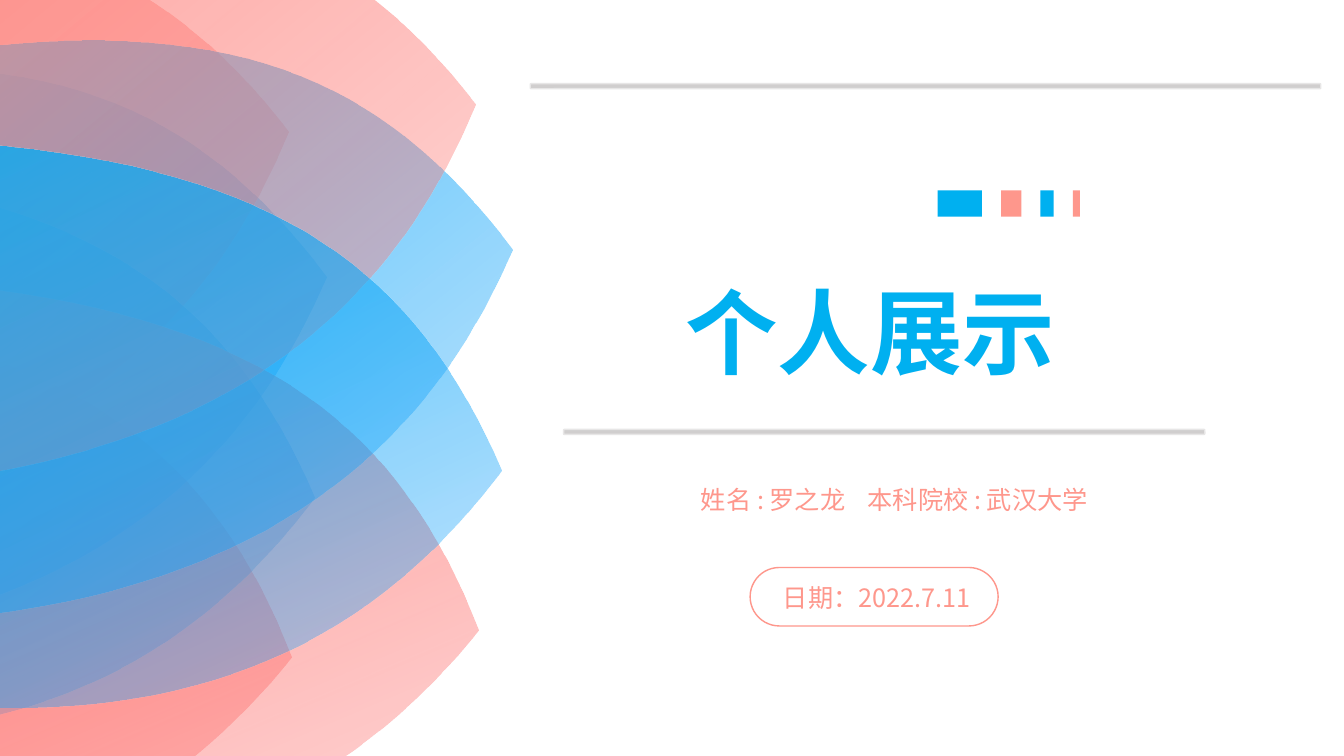
from lxml.etree import Element, SubElement
from pptx import Presentation
from pptx.dml.color import RGBColor
from pptx.enum.shapes import MSO_SHAPE as Shape
from pptx.enum.text import MSO_ANCHOR as Anchor, PP_ALIGN as Align
from pptx.oxml.ns import qn
from pptx.util import Inches, Pt

FONT = "Noto Sans CJK SC"
BLUE, PINK = "00B0F0", "FE978C"
RULE_FILL, RULE_EDGE = "D0CECE", "E7E6E6"

TITLE = ("个人展示", (4.15, 2.6, 8.96, 1.36))
PERSON = (["姓名 : 罗之龙", " ", "本科院校 : 武汉大学"], (5.68, 4.76, 6.38, 0.39))
DATE = (["日期：2022.7.11"], (7.21, 5.73, 2.97, 0.39))
PERSON_GAP = 12

PETAL_RADII = (5.44, 2.79)
PETAL_TIP = (5.44, 0)
PETAL_CURVES = [
    ((4.5, 1.49), (3, 2.79), (0, 2.79)),
    ((-3.01, 2.79), (-5.44, 1.54), (-5.44, 0)),
    ((-5.44, -1.54), (-3.01, -2.79), (0, -2.79)),
    ((3, -2.79), (4.42, -1.9), (5.44, 0)),
]
PETALS = [
    (-7.95, 3.09, 6.8, PINK, "FF6060"),
    (-7.58, 0.78, 351.3, BLUE, "20A2FF"),
    (-7.94, -0.57, 350.3, PINK, "FF7979"),
    (-7.74, 1.68, 4.9, BLUE, "20A2FF"),
]
LAYER_SHIFTS = [(0, 0), (1.85, -0.27)]
FADED_ALPHA = 25

DASHES = [(0.44, BLUE), (0.2, PINK), (0.13, BLUE), (0.07, PINK)]
DASH_LEFT, DASH_TOP, DASH_HEIGHT, DASH_GAP = 9.3, 1.89, 0.26, 0.19
RULES = [(5.26, 0.83, 7.84, 0.05), (5.59, 4.26, 6.36, 0.05)]
PILL = (7.44, 5.63, 2.46, 0.58)


def color(value):
    return RGBColor.from_string(value)


def box(lengths):
    return [Inches(length) for length in lengths]


def bend_edges(petal):
    edges = list(petal._element.spPr.iter(qn("a:lnTo")))
    for edge, curve in zip(edges, PETAL_CURVES):
        bend = Element(qn("a:cubicBezTo"))
        for point in curve:
            x, y = box(p + radius for p, radius in zip(point, PETAL_RADII))
            SubElement(bend, qn("a:pt"), x=str(x), y=str(y))
        edge.getparent().replace(edge, bend)


def add_petal(slide, left, top, angle, solid, faded):
    center = (left + PETAL_RADII[0], top + PETAL_RADII[1])
    builder = slide.shapes.build_freeform(*box(PETAL_TIP), scale=1.0)
    builder.add_line_segments([box(curve[-1]) for curve in PETAL_CURVES], close=True)
    petal = builder.convert_to_shape(*box(center))
    bend_edges(petal)
    petal.rotation = angle
    petal.shadow.inherit = False
    petal.line.fill.background()
    petal.fill.gradient()
    petal.fill.gradient_angle = 300
    for stop, value in zip(petal.fill.gradient_stops, (solid, faded)):
        stop.color.rgb = color(value)
    faded_color = list(petal._element.spPr.iter(qn("a:srgbClr")))[-1]
    SubElement(faded_color, qn("a:alpha"), val=str(FADED_ALPHA * 1000))


def add_block(slide, kind, place, fill=None, edge=None):
    block = slide.shapes.add_shape(kind, *box(place))
    block.shadow.inherit = False
    if fill:
        block.fill.solid()
        block.fill.fore_color.rgb = color(fill)
    else:
        block.fill.background()
    if edge:
        block.line.color.rgb = color(edge)
        block.line.width = Pt(1)
    else:
        block.line.fill.background()
    return block


def write(holder, parts, size, value, bold=False):
    frame = holder.text_frame
    frame_format = {
        "word_wrap": True, "vertical_anchor": Anchor.MIDDLE,
        "margin_left": Inches(0.1), "margin_right": Inches(0.1),
        "margin_top": Inches(0.05), "margin_bottom": Inches(0.05),
    }
    for key, setting in frame_format.items():
        setattr(frame, key, setting)
    line = frame.paragraphs[0]
    line.alignment = Align.CENTER
    line.line_spacing = 1.0
    for part in parts:
        run = line.add_run()
        run.text = part
        for key, setting in {"name": FONT, "size": Pt(size), "bold": bold}.items():
            setattr(run.font, key, setting)
        run.font.color.rgb = color(value)
        properties = run._r.get_or_add_rPr()
        SubElement(properties, qn("a:ea"), typeface=FONT)
        if part == " ":
            properties.set("spc", str(PERSON_GAP * 100))


def main():
    deck = Presentation()
    deck.slide_width, deck.slide_height = Inches(13.33), Inches(7.5)
    slide = deck.slides.add_slide(deck.slide_layouts[5])

    for shift_x, shift_y in LAYER_SHIFTS:
        for left, top, *look in PETALS:
            add_petal(slide, left + shift_x, top + shift_y, *look)

    add_block(slide, Shape.ROUNDED_RECTANGLE, PILL, edge=PINK).adjustments[0] = 0.5
    for rule in RULES:
        add_block(slide, Shape.ROUNDED_RECTANGLE, rule, RULE_FILL, RULE_EDGE)

    dash_left = DASH_LEFT
    for width, value in DASHES:
        add_block(slide, Shape.RECTANGLE, (dash_left, DASH_TOP, width, DASH_HEIGHT), value)
        dash_left += width + DASH_GAP

    heading, heading_place = TITLE
    title = slide.shapes.title
    for key, length in zip(("left", "top", "width", "height"), box(heading_place)):
        setattr(title, key, length)
    write(title, [heading], 66, BLUE, bold=True)
    for parts, place in (PERSON, DATE):
        write(slide.shapes.add_textbox(*box(place)), parts, 18, PINK)

    deck.save("out.pptx")


if __name__ == "__main__":
    main()
